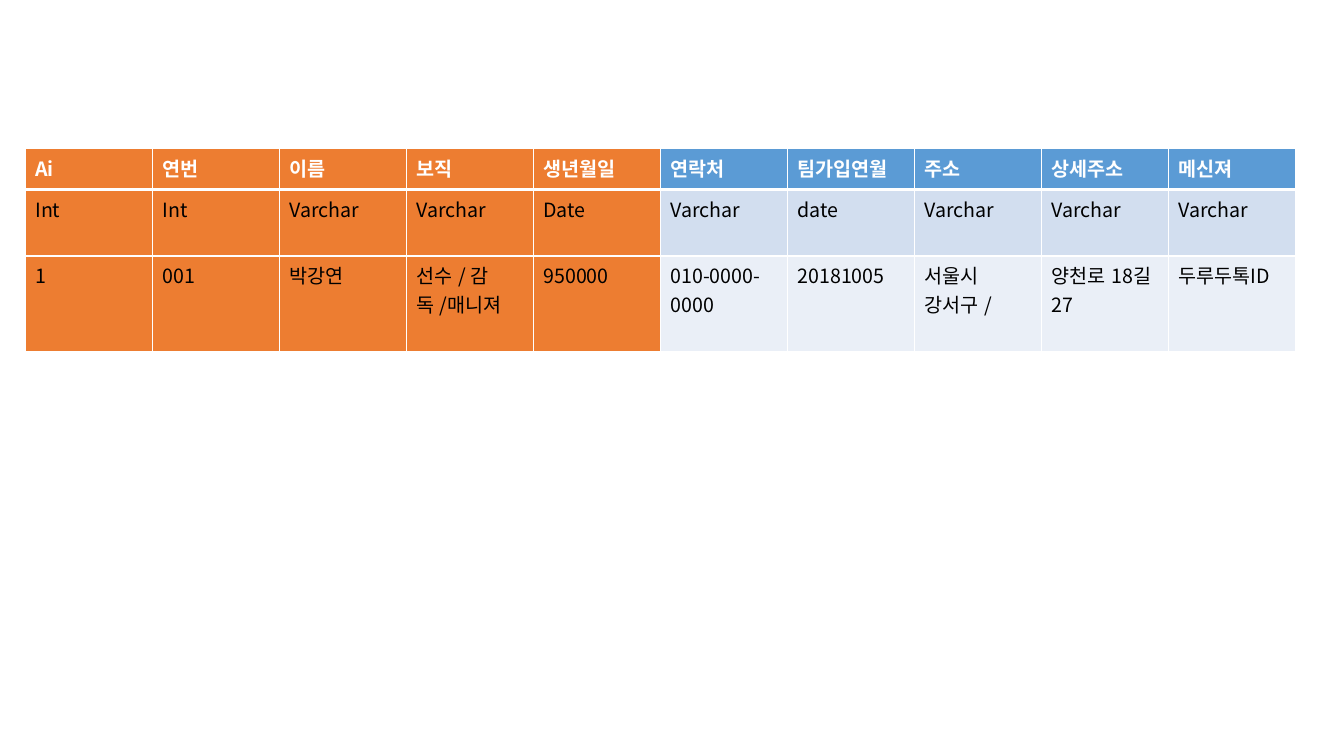
"""Build a slide with a table of team member fields, their types and a sample record."""
from dataclasses import dataclass

from lxml.etree import SubElement
from pptx import Presentation
from pptx.dml.color import RGBColor
from pptx.enum.lang import MSO_LANGUAGE_ID
from pptx.oxml.ns import qn
from pptx.util import Inches, Pt

FIELDS = [
    ("Ai", "Int", "1"),
    ("연번", "Int", "001"),
    ("이름 ", "Varchar", "박강연"),
    ("보직", "Varchar", "선수 / 감독 /매니져"),
    ("생년월일", "Date", "950000"),
    ("연락처", "Varchar", "010-0000-0000"),
    ("팀가입연월", "date", "20181005"),
    ("주소", "Varchar", "서울시 강서구 /"),
    ("상세주소", "Varchar", "양천로 18길 27"),
    ("메신져", "Varchar", "두루두톡ID"),
]
REQUIRED_FIELDS = 5
ROW_HEIGHTS = (0.41, 0.66, 0.95)
LEFT, TOP, COLUMN_WIDTH = 0.25, 1.47, 1.26


@dataclass(frozen=True)
class Theme:
    font: str = "Noto Sans CJK KR"
    size: int = 14
    required: str = "ED7D31"
    optional: tuple = ("5B9BD5", "D2DEEF", "EAEFF7")
    header_text: str = "FFFFFF"
    body_text: str = "000000"
    border: str = "FFFFFF"
    thin: int = 1
    thick: int = 3


THEME = Theme()


def add_borders(cell, top, bottom):
    """Draw the four borders of a cell, with the given top and bottom widths."""
    properties = cell._tc.get_or_add_tcPr()
    widths = {"L": THEME.thin, "R": THEME.thin, "T": top, "B": bottom}
    for side, width in widths.items():
        line = SubElement(properties, qn(f"a:ln{side}"), w=str(Pt(width)))
        fill = SubElement(line, qn("a:solidFill"))
        SubElement(fill, qn("a:srgbClr"), val=THEME.border)


def add_text(cell, text, is_header):
    """Write one styled run into a cell."""
    span = cell.text_frame.paragraphs[0].add_run()
    span.text = text
    font = span.font
    font.name = THEME.font
    font.size = Pt(THEME.size)
    font.bold = is_header
    font.language_id = MSO_LANGUAGE_ID.KOREAN
    color = THEME.header_text if is_header else THEME.body_text
    font.color.rgb = RGBColor.from_string(color)
    SubElement(span._r.get_or_add_rPr(), qn("a:ea"), typeface=THEME.font)


def fill_cell(cell, text, row, column):
    """Style one cell by its row and column."""
    top = THEME.thick if row == 1 else THEME.thin
    bottom = THEME.thick if row == 0 else THEME.thin
    add_borders(cell, top, bottom)
    color = THEME.required if column < REQUIRED_FIELDS else THEME.optional[row]
    cell.fill.solid()
    cell.fill.fore_color.rgb = RGBColor.from_string(color)
    add_text(cell, text, row == 0)


def add_field_table(page):
    """Add the table with one column per field."""
    table = page.shapes.add_table(
        len(ROW_HEIGHTS), len(FIELDS), Inches(LEFT), Inches(TOP),
        Inches(COLUMN_WIDTH * len(FIELDS)), Inches(sum(ROW_HEIGHTS)),
    ).table
    for row, height in zip(table.rows, ROW_HEIGHTS):
        row.height = Inches(height)
    for column, texts in enumerate(FIELDS):
        table.columns[column].width = Inches(COLUMN_WIDTH)
        for row, text in enumerate(texts):
            fill_cell(table.cell(row, column), text, row, column)


deck = Presentation()
deck.slide_width, deck.slide_height = Inches(13.33), Inches(7.5)
add_field_table(deck.slides.add_slide(deck.slide_layouts[6]))
deck.save("out.pptx")
